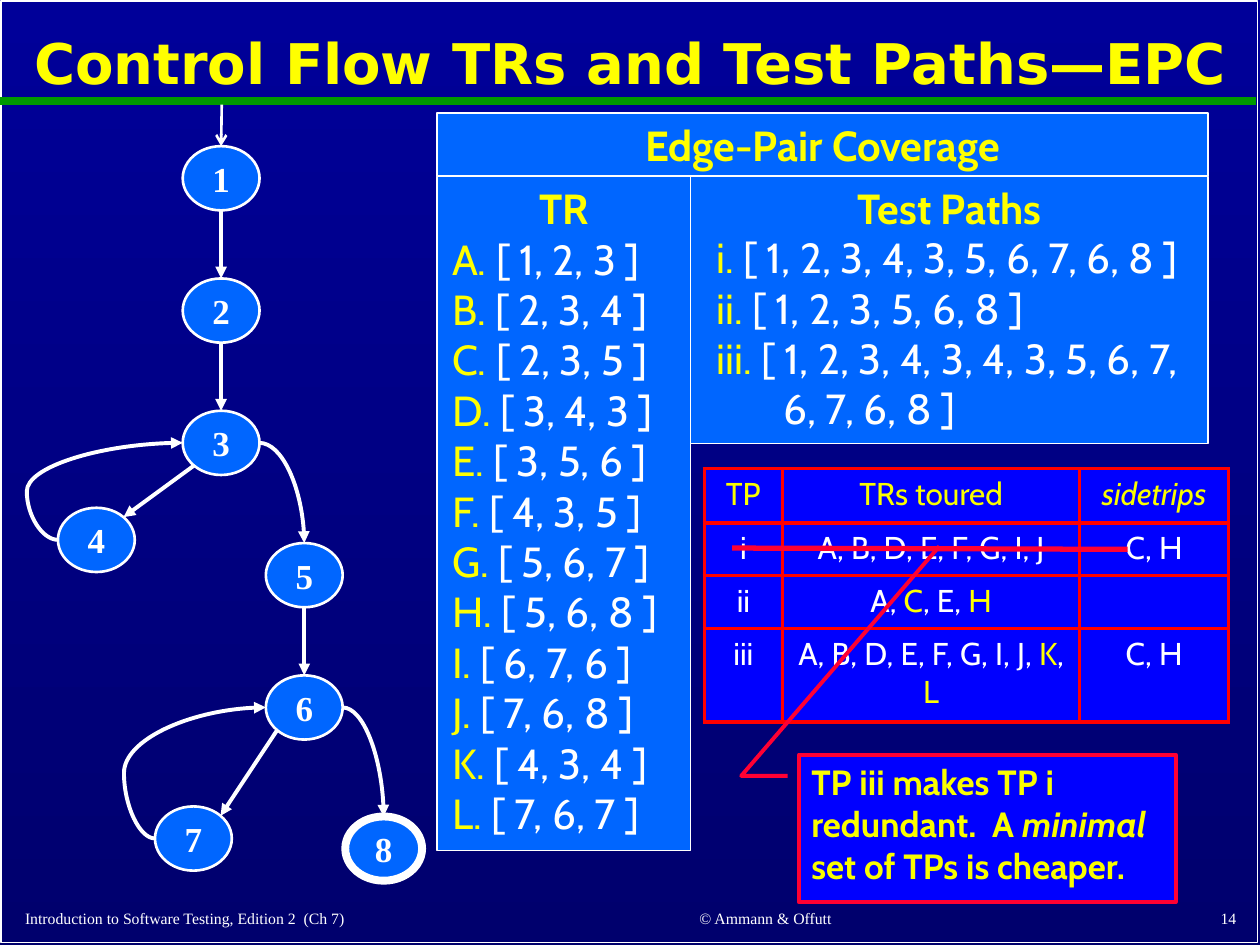
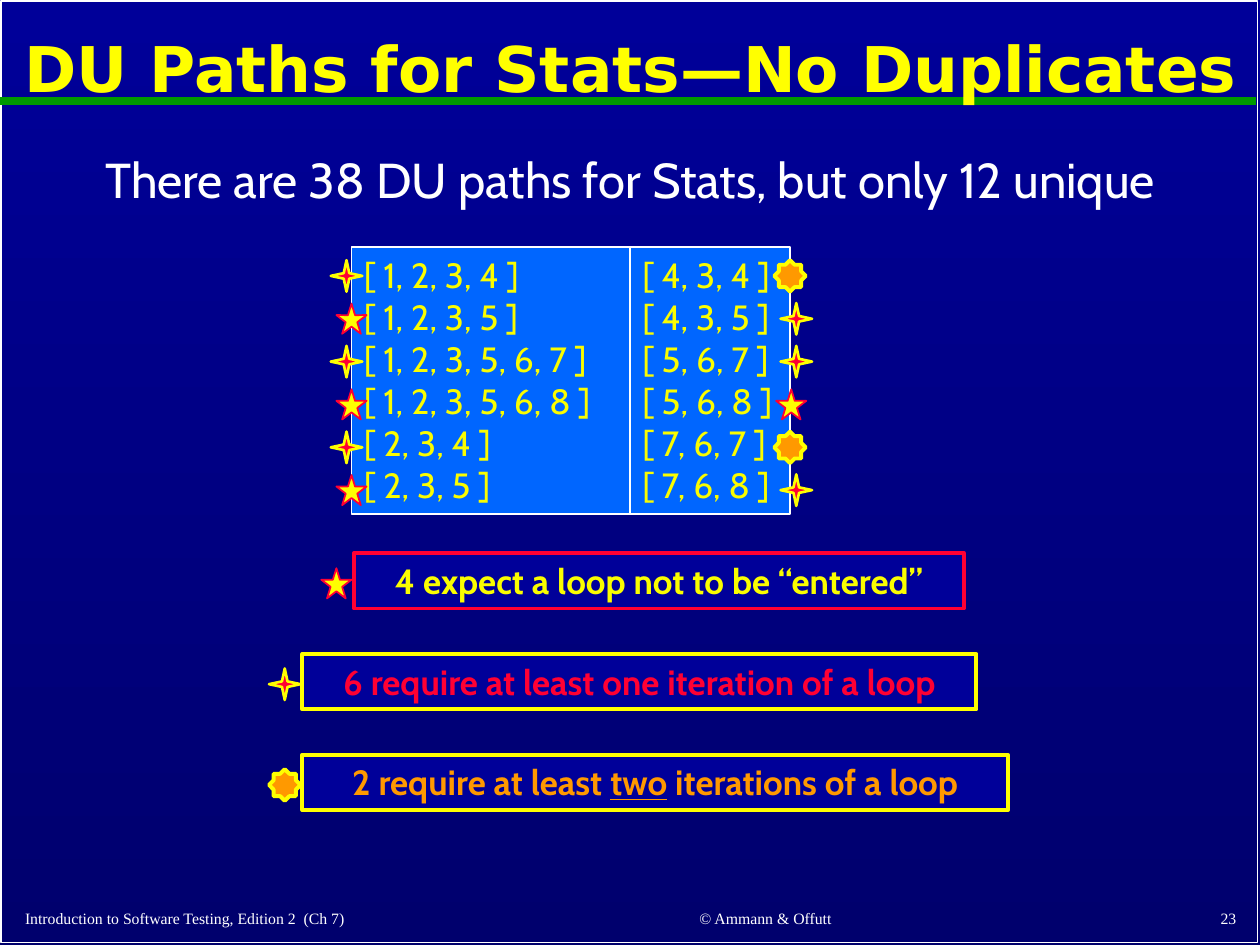
import math
from dataclasses import dataclass
from typing import NamedTuple, Optional

import pptx
import pptx.dml.color
import pptx.enum.shapes
import pptx.enum.text
import pptx.oxml
import pptx.oxml.ns
import pptx.util
from lxml import etree

Inches = pptx.util.Inches
Pt = pptx.util.Pt
SHAPE = pptx.enum.shapes.MSO_SHAPE
CONNECTOR = pptx.enum.shapes.MSO_CONNECTOR
ALIGN = pptx.enum.text.PP_ALIGN
ANCHOR = pptx.enum.text.MSO_ANCHOR
qn = pptx.oxml.ns.qn

COLORS = {
    "top": "000099", "bottom": "00006D", "white": "FFFFFF", "green": "009900",
    "yellow": "FFFF00", "lemon": "FAFD00", "panel": "0066FF", "blue": "0000FF",
    "red": "FF0000", "crimson": "FF0033", "orange": "FF9900",
}
BODY, HEADING, SERIF = "Cabin", "DejaVu Sans", "Times New Roman"


class Span(NamedTuple):
    text: str
    color: Optional[str] = None
    italic: bool = False
    underline: bool = False


class Box(NamedTuple):
    left: float
    top: float
    width: float
    height: float

    def lengths(self) -> list:
        return [Inches(value) for value in self]


@dataclass
class Node:
    label: str
    left: float
    top: float
    border: float = 1.5
    width: float = 0.61
    height: float = 0.51

    def site(self, degrees: float) -> tuple:
        angle = math.radians(degrees)
        return (self.left + self.width / 2 * (1 + math.cos(angle)),
                self.top + self.height / 2 * (1 + math.sin(angle)))


@dataclass
class Edge:
    start: str
    leave: float
    end: str
    enter: float
    preset: str = "line"
    bend: Optional[float] = None


@dataclass
class Marker:
    outline: SHAPE
    fill: str
    line: str
    border: float
    size: float
    left_x: float
    right_x: float
    adjustment: Optional[float] = None


@dataclass
class Legend:
    marker: Marker
    left: float
    width: float
    line: str
    color: str
    text: list


def rgb(name: str):
    return pptx.dml.color.RGBColor.from_string(COLORS[name])


def write(frame, paragraphs, *, size, color="white", font=BODY, bold=False,
          align=ALIGN.LEFT, spacing=None, hanging=0.0):
    for index, spans in enumerate(paragraphs):
        paragraph = frame.paragraphs[0] if index == 0 else frame.add_paragraph()
        paragraph.alignment = align
        if spacing:
            paragraph.line_spacing = spacing
        if hanging:
            properties = paragraph._p.get_or_add_pPr()
            properties.set("marL", str(Inches(hanging)))
            properties.set("indent", str(-Inches(hanging)))
        for span in [Span(spans)] if isinstance(spans, str) else spans:
            run = paragraph.add_run()
            run.text = span.text
            run.font.name = font
            run.font.size = Pt(size)
            run.font.bold = bold
            run.font.italic = span.italic
            run.font.underline = span.underline
            run.font.color.rgb = rgb(span.color or color)


def add_text(slide, box: Box, paragraphs, anchor=ANCHOR.TOP, **style):
    frame = slide.shapes.add_textbox(*box.lengths()).text_frame
    frame.word_wrap = True
    frame.vertical_anchor = anchor
    write(frame, paragraphs, **style)


def add_figure(slide, outline, box: Box, *, fill=None, line="white", border=1.0,
               paragraphs=(), anchor=ANCHOR.TOP, **style):
    figure = slide.shapes.add_shape(outline, *box.lengths())
    figure.shadow.inherit = False
    if fill:
        figure.fill.solid()
        figure.fill.fore_color.rgb = rgb(fill)
    else:
        figure.fill.background()
    figure.line.color.rgb = rgb(line)
    figure.line.width = Pt(border)
    figure.text_frame.word_wrap = True
    figure.text_frame.vertical_anchor = anchor
    if paragraphs:
        write(figure.text_frame, paragraphs, **style)
    return figure


def add_line(slide, start, end, *, color="white", border=2.25, arrow=None,
             preset="line", bend=None):
    kind = CONNECTOR.STRAIGHT if preset == "line" else CONNECTOR.CURVE
    link = slide.shapes.add_connector(kind, *[Inches(v) for v in (*start, *end)])
    link.line.color.rgb = rgb(color)
    link.line.width = Pt(border)
    properties = link._element.spPr
    if arrow:
        etree.SubElement(properties.find(qn("a:ln")), qn("a:tailEnd"), type=arrow)
    geometry = properties.find(qn("a:prstGeom"))
    geometry.set("prst", preset)
    if bend is not None:
        guides = geometry.find(qn("a:avLst"))
        if guides is None:
            guides = etree.SubElement(geometry, qn("a:avLst"))
        etree.SubElement(guides, qn("a:gd"), name="adj1",
                         fmla=f"val {round(bend * 100000)}")
    etree.SubElement(properties, qn("a:effectLst"))


def add_marker(slide, marker: Marker, x: float, y: float):
    half = marker.size / 2
    star = add_figure(slide, marker.outline, Box(x - half, y - half, marker.size, marker.size),
                      fill=marker.fill, line=marker.line, border=marker.border)
    if marker.adjustment:
        star.adjustments[0] = marker.adjustment


def border_cell(cell, color: str, width: float):
    properties = cell._tc.get_or_add_tcPr()
    for index, side in enumerate(("lnL", "lnR", "lnT", "lnB")):
        edge = etree.Element(qn(f"a:{side}"), w=str(Pt(width)))
        paint = etree.SubElement(edge, qn("a:solidFill"))
        etree.SubElement(paint, qn("a:srgbClr"), val=COLORS[color])
        properties.insert(index, edge)


def add_tour_table(slide, left: float, top: float, widths, heights, rows):
    box = Box(left, top, sum(widths), sum(heights))
    table = slide.shapes.add_table(len(rows), len(widths), *box.lengths()).table
    table.first_row = table.horz_banding = False
    for column, width in zip(table.columns, widths):
        column.width = Inches(width)
    for row_index, (row, height) in enumerate(zip(rows, heights)):
        table.rows[row_index].height = Inches(height)
        for column_index, text in enumerate(row):
            cell = table.cell(row_index, column_index)
            cell.fill.solid()
            cell.fill.fore_color.rgb = rgb("blue")
            border_cell(cell, "red", 2.25)
            write(cell.text_frame, [text], size=18, align=ALIGN.CENTER,
                  color="white" if row_index else "lemon")


def add_base(deck, title: str, title_size: int, title_height: float, number: int):
    slide = deck.slides.add_slide(deck.slide_layouts[6])
    backdrop = slide.background.fill
    backdrop.gradient()
    backdrop.gradient_angle = 270
    for stop, color, position in zip(backdrop.gradient_stops, ("top", "bottom"), (0, 1)):
        stop.color.rgb = rgb(color)
        stop.position = position
    add_figure(slide, SHAPE.RECTANGLE, Box(0.01, 0.01, 9.97, 7.47))
    add_line(slide, (0, 0.8), (9.97, 0.8), color="green", border=4.5)
    add_text(slide, Box(0.08, 0.11, 9.85, title_height), [title], anchor=ANCHOR.MIDDLE,
             size=title_size, font=HEADING, color="yellow", bold=True,
             align=ALIGN.CENTER, spacing=0.9)
    footers = (
        (0.1, 4.11, "Introduction to Software Testing, Edition 2  (Ch 7)", ALIGN.LEFT),
        (4.49, 3.17, "© Ammann & Offutt", ALIGN.CENTER),
        (7.83, 2.08, str(number), ALIGN.RIGHT),
    )
    for left, width, text, align in footers:
        add_text(slide, Box(left, 7.16, width, 0.26), [text], anchor=ANCHOR.MIDDLE,
                 size=9, font=SERIF, align=align)
    return slide


def add_flow_graph(slide):
    nodes = {node.label: node for node in (
        Node("1", 1.45, 1.16), Node("2", 1.45, 2.21), Node("3", 1.45, 3.26),
        Node("4", 0.46, 4.03), Node("5", 2.11, 4.31), Node("6", 2.11, 5.36),
        Node("7", 1.23, 6.4), Node("8", 2.74, 6.48, border=4.5))}
    edges = [Edge(start, 90, end, -90) for start, end in ("12", "23", "56")]
    edges += [Edge(start, 135, end, -45) for start, end in ("34", "67")]
    edges += [Edge(start, 0, end, -90, "curvedConnector2") for start, end in ("35", "68")]
    edges += [Edge("4", 180, "3", 180, "curvedConnector3", -0.25),
              Edge("7", 180, "6", 180, "curvedConnector3", -0.28)]
    for node in nodes.values():
        oval = add_figure(slide, SHAPE.OVAL, Box(node.left, node.top, node.width, node.height),
                          fill="panel", border=node.border, paragraphs=[node.label],
                          anchor=ANCHOR.MIDDLE, size=20, font=SERIF, bold=True,
                          align=ALIGN.CENTER)
        oval.text_frame.margin_left = oval.text_frame.margin_right = 0
    add_line(slide, (1.76, 0.83), nodes["1"].site(-90), border=1.5, arrow="arrow")
    for edge in edges:
        add_line(slide, nodes[edge.start].site(edge.leave), nodes[edge.end].site(edge.enter),
                 arrow="triangle", preset=edge.preset, bend=edge.bend)


def build_edge_pair_slide(deck):
    slide = add_base(deck, "Control Flow TRs and Test Paths—EPC", 32, 0.84, 14)
    add_flow_graph(slide)
    for box, heading in ((Box(3.47, 1.4, 2.01, 5.35), "TR"),
                         (Box(5.48, 1.4, 4.11, 2.12), "Test Paths"),
                         (Box(3.47, 0.9, 6.12, 0.5), "Edge-Pair Coverage")):
        add_figure(slide, SHAPE.RECTANGLE, box, fill="panel", paragraphs=[heading],
                   size=24, color="yellow", bold=True, align=ALIGN.CENTER)
    requirements = ("1, 2, 3", "2, 3, 4", "2, 3, 5", "3, 4, 3", "3, 5, 6", "4, 3, 5",
                    "5, 6, 7", "5, 6, 8", "6, 7, 6", "7, 6, 8", "4, 3, 4", "7, 6, 7")
    test_paths = ("1, 2, 3, 4, 3, 5, 6, 7, 6, 8", "1, 2, 3, 5, 6, 8",
                  "1, 2, 3, 4, 3, 4, 3, 5, 6, 7, 6, 7, 6, 8")
    for box, labels, paths, hanging in (
            (Box(3.49, 1.8, 1.96, 4.95), "ABCDEFGHIJKL", requirements, 0),
            (Box(5.59, 1.79, 3.89, 1.72), ("i", "ii", "iii"), test_paths, 0.53)):
        lines = [[Span(f"{label}. ", "yellow"), Span(f"[ {nodes} ]")]
                 for label, nodes in zip(labels, paths)]
        add_text(slide, box, lines, size=24, hanging=hanging)
    tours = (
        ("TP", "TRs toured", [Span("sidetrips", italic=True)]),
        ("i", "A, B, D, E, F, G, I, J", "C, H"),
        ("ii", [Span("A, "), Span("C", "yellow"), Span(", E, "), Span("H", "yellow")], ""),
        ("iii", [Span("A, B, D, E, F, G, I, J, "), Span("K", "yellow"), Span(", "),
                 Span("L", "yellow")], "C, H"),
    )
    add_tour_table(slide, 5.59, 3.72, (0.62, 2.36, 1.18), (0.43, 0.42, 0.42, 0.74), tours)
    add_line(slide, (5.81, 4.35), (8.95, 4.36), color="crimson", border=3)
    note = [Span("TP iii makes TP i redundant.  A "), Span("minimal", italic=True),
            Span(" set of TPs is cheaper.")]
    callout = add_figure(slide, SHAPE.LINE_CALLOUT_2, Box(6.34, 5.99, 2.99, 1.17),
                         fill="blue", line="crimson", border=2.25, paragraphs=[note],
                         size=20, color="lemon", bold=True)
    for index, value in enumerate((0.144, -0.03, 0.144, -0.153, -1.414, 0.373)):
        callout.adjustments[index] = value


def build_du_paths_slide(deck):
    slide = add_base(deck, "DU Paths for Stats—No Duplicates", 36, 0.92, 23)
    add_text(slide, Box(0.15, 1.19, 9.7, 0.64),
             ["There are 38 DU paths for Stats, but only 12 unique"],
             size=28, align=ALIGN.CENTER, spacing=0.9)
    skip = Marker(SHAPE.STAR_5_POINT, "yellow", "crimson", 1, 0.24, 2.79, 6.28)
    once = Marker(SHAPE.STAR_4_POINT, "crimson", "yellow", 1.5, 0.25, 2.75, 6.32, 0.125)
    twice = Marker(SHAPE.STAR_8_POINT, "orange", "yellow", 2.25, 0.25, 2.25, 6.27, 0.383)
    left_paths = (("1, 2, 3, 4", once), ("1, 2, 3, 5", skip), ("1, 2, 3, 5, 6, 7", once),
                  ("1, 2, 3, 5, 6, 8", skip), ("2, 3, 4", once), ("2, 3, 5", skip))
    right_paths = (("4, 3, 4", twice), ("4, 3, 5", once), ("5, 6, 7", once),
                   ("5, 6, 8", skip), ("7, 6, 7", twice), ("7, 6, 8", once))
    for box, paths, side in ((Box(2.79, 1.96, 2.21, 2.12), left_paths, "left_x"),
                             (Box(5, 1.96, 1.27, 2.12), right_paths, "right_x")):
        add_figure(slide, SHAPE.RECTANGLE, box, fill="panel", size=20, color="lemon",
                   paragraphs=[f"[ {nodes} ]" for nodes, _ in paths])
        for row, (_, marker) in enumerate(paths):
            add_marker(slide, marker, getattr(marker, side), 2.19 + 0.34 * row)
    legends = (
        Legend(skip, 2.81, 4.84, "crimson", "lemon",
               [Span("4 expect a loop not to be “entered”")]),
        Legend(once, 2.4, 5.35, "yellow", "crimson",
               [Span("6 require at least one iteration of a loop")]),
        Legend(twice, 2.4, 5.6, "yellow", "orange",
               [Span("2 require at least "), Span("two", underline=True),
                Span(" iterations of a loop")]),
    )
    for row, legend in enumerate(legends):
        top = 4.39 + 0.8 * row
        add_figure(slide, SHAPE.RECTANGLE, Box(legend.left, top, legend.width, 0.44),
                   fill="top", line=legend.line, border=2.25, paragraphs=[legend.text],
                   size=20, color=legend.color, bold=True, align=ALIGN.CENTER)
        add_marker(slide, legend.marker, legend.left - 0.14, top + 0.24)


presentation = pptx.Presentation()
presentation.slide_width = Inches(10)
presentation.slide_height = Inches(7.5)
build_edge_pair_slide(presentation)
build_du_paths_slide(presentation)
presentation.save("out.pptx")
